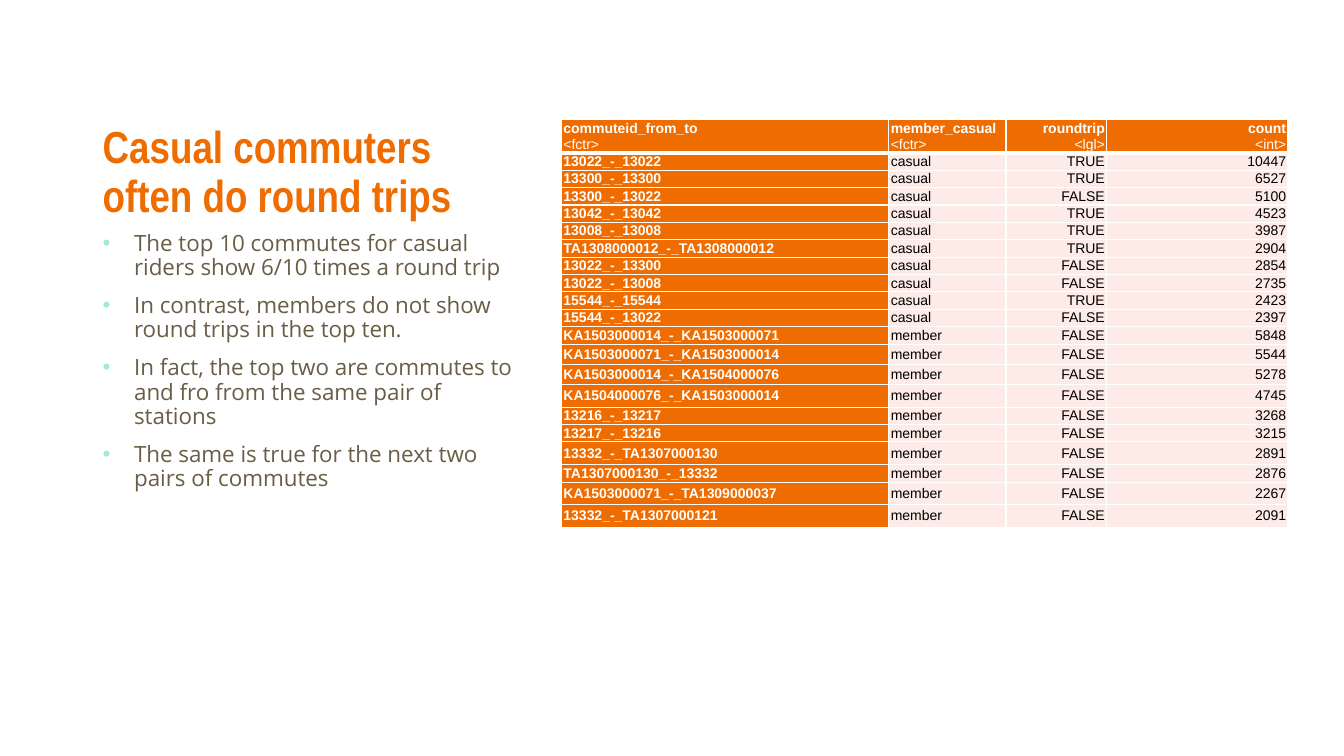
"""Build the slide on round trips among casual commuters."""
from lxml.etree import SubElement
from pptx import Presentation
from pptx.dml.color import RGBColor
from pptx.enum.text import MSO_ANCHOR, PP_ALIGN
from pptx.oxml.ns import qn
from pptx.util import Cm, Pt

COLORS = {"orange": "EF6C00", "blush": "FCEBE7", "brown": "695D46",
          "mint": "A1E8D9", "white": "FFFFFF", "black": "000000"}
COLUMNS = [("commuteid_from_to", "<fctr>", 8.25), ("member_casual", "<fctr>", 2.95),
           ("roundtrip", "<lgl>", 2.54), ("count", "<int>", 4.57)]
COMMUTES = [
    ("13022_-_13022", "casual", "TRUE", 10447, 0.41),
    ("13300_-_13300", "casual", "TRUE", 6527, 0.41),
    ("13300_-_13022", "casual", "FALSE", 5100, 0.41),
    ("13042_-_13042", "casual", "TRUE", 4523, 0.41),
    ("13008_-_13008", "casual", "TRUE", 3987, 0.41),
    ("TA1308000012_-_TA1308000012", "casual", "TRUE", 2904, 0.45),
    ("13022_-_13300", "casual", "FALSE", 2854, 0.41),
    ("13022_-_13008", "casual", "FALSE", 2735, 0.41),
    ("15544_-_15544", "casual", "TRUE", 2423, 0.41),
    ("15544_-_13022", "casual", "FALSE", 2397, 0.41),
    ("KA1503000014_-_KA1503000071", "member", "FALSE", 5848, 0.45),
    ("KA1503000071_-_KA1503000014", "member", "FALSE", 5544, 0.51),
    ("KA1503000014_-_KA1504000076", "member", "FALSE", 5278, 0.51),
    ("KA1504000076_-_KA1503000014", "member", "FALSE", 4745, 0.57),
    ("13216_-_13217", "member", "FALSE", 3268, 0.41),
    ("13217_-_13216", "member", "FALSE", 3215, 0.41),
    ("13332_-_TA1307000130", "member", "FALSE", 2891, 0.58),
    ("TA1307000130_-_13332", "member", "FALSE", 2876, 0.41),
    ("KA1503000071_-_TA1309000037", "member", "FALSE", 2267, 0.56),
    ("13332_-_TA1307000121", "member", "FALSE", 2091, 0.58),
]
FINDINGS = [
    "The top 10 commutes for casual riders show 6/10 times a round trip",
    "In contrast, members do not show round trips in the top ten.",
    "In fact, the top two are commutes to and fro from the same pair of stations",
    "The same is true for the next two pairs of commutes",
]


def write(frame, lines, font, size, color, bold=(False,), align=PP_ALIGN.LEFT, spacing=None):
    """Write one paragraph per line and return the paragraphs."""
    frame.word_wrap = True
    for index, line in enumerate(lines):
        para = frame.paragraphs[0] if index == 0 else frame.add_paragraph()
        para.alignment = align
        para.line_spacing = spacing
        span = para.add_run()
        span.text = line
        span.font.name = font
        span.font.size = Pt(size)
        span.font.bold = bold[index % len(bold)]
        span.font.color.rgb = RGBColor.from_string(COLORS[color])
    return frame.paragraphs


deck = Presentation()
deck.slide_width, deck.slide_height = Cm(33.87), Cm(19.05)
page = deck.slides.add_slide(deck.slide_layouts[6])

rows = [([name, kind] for name, kind, width in COLUMNS)]
rows += [([str(value)] for value in commute[:4]) for commute in COMMUTES]
heights = [0.84] + [commute[4] for commute in COMMUTES]
widths = [width for name, kind, width in COLUMNS]
table = page.shapes.add_table(len(rows), len(COLUMNS), Cm(14.15), Cm(3.02),
                              Cm(sum(widths)), Cm(sum(heights))).table
for column, width in zip(table.columns, widths):
    column.width = Cm(width)

for row_index, row in enumerate(rows):
    table.rows[row_index].height = Cm(heights[row_index])
    for column_index, lines in enumerate(row):
        cell = table.cell(row_index, column_index)
        cell.margin_left = cell.margin_right = Cm(0.05)
        cell.margin_top = cell.margin_bottom = Cm(0.02)
        cell.vertical_anchor = MSO_ANCHOR.MIDDLE
        strong = row_index == 0 or column_index == 0
        write(cell.text_frame, lines, "Arial", 10, "white" if strong else "black",
              bold=(strong, False), align=PP_ALIGN.RIGHT if column_index > 1 else PP_ALIGN.LEFT)
        for side in ("lnL", "lnR", "lnT", "lnB"):
            thick = (row_index, side) in ((0, "lnB"), (1, "lnT"))
            border = SubElement(cell._tc.get_or_add_tcPr(), qn("a:" + side),
                                w=str(Pt(3 if thick else 1)))
            SubElement(SubElement(border, qn("a:solidFill")), qn("a:srgbClr"), val=COLORS["white"])
        cell.fill.solid()
        cell.fill.fore_color.rgb = RGBColor.from_string(COLORS["orange" if strong else "blush"])

title_box = page.shapes.add_textbox(Cm(2.34), Cm(1.27), Cm(10.92), Cm(4.45))
title_box.text_frame.vertical_anchor = MSO_ANCHOR.BOTTOM
write(title_box.text_frame, ["Casual commuters often do round trips"], "Arial Narrow", 32,
      "orange", bold=(True,), spacing=0.9)

findings_box = page.shapes.add_textbox(Cm(2.34), Cm(5.72), Cm(10.92), Cm(10.59))
findings = write(findings_box.text_frame, FINDINGS, "Open Sans", 16, "brown", spacing=0.9)
for index, para in enumerate(findings):
    para.space_before = Pt(10 if index else 0)
    properties = para._p.get_or_add_pPr()
    properties.set("marL", str(Cm(0.79)))
    properties.set("indent", str(-Cm(0.79)))
    SubElement(SubElement(properties, qn("a:buClr")), qn("a:srgbClr"), val=COLORS["mint"])
    SubElement(properties, qn("a:buFont"), typeface="Arial")
    SubElement(properties, qn("a:buChar"), char="•")

deck.save("out.pptx")
